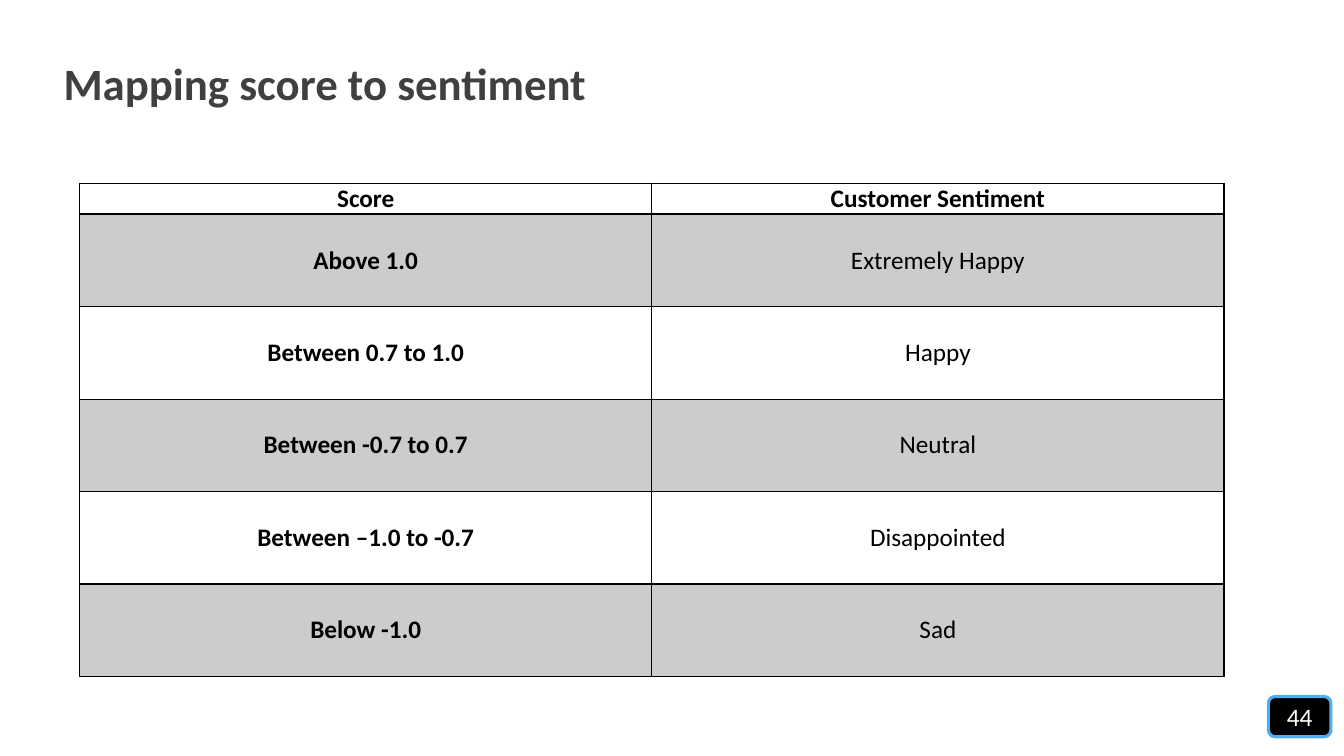
from dataclasses import dataclass

import pptx
import pptx.dml.color
import pptx.enum.shapes
import pptx.enum.text
import pptx.oxml
import pptx.oxml.ns
import pptx.util

Inches = pptx.util.Inches
Pt = pptx.util.Pt
PP_ALIGN = pptx.enum.text.PP_ALIGN
MSO_ANCHOR = pptx.enum.text.MSO_ANCHOR

FONT = "Calibri"
COLORS = {
    "title": "404040",
    "black": "000000",
    "white": "FFFFFF",
    "band": "CCCCCC",
    "badge_line": "4FADF3",
}
COLUMN_WIDTH = 5.675
HEADER_HEIGHT = 0.305
ROW_HEIGHT = 0.917


@dataclass
class SentimentRow:
    score: str
    sentiment: str
    header: bool = False


ROWS = [
    SentimentRow("Score", "Customer Sentiment", header=True),
    SentimentRow("Above 1.0", "Extremely Happy"),
    SentimentRow("Between 0.7 to 1.0", "Happy"),
    SentimentRow("Between -0.7 to 0.7", "Neutral"),
    SentimentRow("Between –1.0 to -0.7", "Disappointed"),
    SentimentRow("Below -1.0", "Sad"),
]


def rgb(name: str) -> pptx.dml.color.RGBColor:
    return pptx.dml.color.RGBColor.from_string(COLORS[name])


def add_run(p, text: str, size: float, color: str, bold: bool = False) -> None:
    r = p.add_run()
    r.text = text
    r.font.name = FONT
    r.font.size = Pt(size)
    r.font.bold = bold
    r.font.color.rgb = rgb(color)


def set_border(cell, side: str, width: float) -> None:
    ln = pptx.oxml.parse_xml(
        f'<a:ln{side} {pptx.oxml.ns.nsdecls("a")} w="{Pt(width)}">'
        f'<a:solidFill><a:srgbClr val="{COLORS["black"]}"/></a:solidFill>'
        f'</a:ln{side}>'
    )
    cell._tc.get_or_add_tcPr().append(ln)


def fill_cell(cell, text: str, row: int, bold: bool) -> None:
    # Borders come before the fill; the rule under the header is heavier
    widths = {"L": 1, "R": 1, "T": 2 if row == 1 else 1, "B": 2 if row == 0 else 1}
    for side, width in widths.items():
        set_border(cell, side, width)
    cell.fill.solid()
    cell.fill.fore_color.rgb = rgb("band" if row % 2 else "white")
    cell.margin_left = cell.margin_right = Inches(0.07)
    cell.margin_top = cell.margin_bottom = 0
    cell.vertical_anchor = MSO_ANCHOR.MIDDLE
    p = cell.text_frame.paragraphs[0]
    p.alignment = PP_ALIGN.CENTER
    add_run(p, text, 18, "black", bold)


def add_title(s, text: str) -> None:
    sp = s.shapes.title
    sp.left, sp.top = Inches(0.53), Inches(0.4)
    sp.width, sp.height = Inches(10.93), Inches(0.91)
    tf = sp.text_frame
    tf.auto_size = pptx.enum.text.MSO_AUTO_SIZE.NONE
    tf.vertical_anchor = MSO_ANCHOR.MIDDLE
    p = tf.paragraphs[0]
    p.alignment = PP_ALIGN.LEFT
    p.line_spacing = 0.9
    add_run(p, text, 32, "title", bold=True)


def add_sentiment_table(s, rows: list[SentimentRow]) -> None:
    height = HEADER_HEIGHT + ROW_HEIGHT * (len(rows) - 1)
    table = s.shapes.add_table(
        len(rows), 2, Inches(0.79), Inches(1.82),
        Inches(2 * COLUMN_WIDTH), Inches(height),
    ).table
    table.first_row = True
    table.horz_banding = False
    for column in table.columns:
        column.width = Inches(COLUMN_WIDTH)
    for i, row in enumerate(rows):
        table.rows[i].height = Inches(HEADER_HEIGHT if row.header else ROW_HEIGHT)
        fill_cell(table.cell(i, 0), row.score, i, bold=True)
        fill_cell(table.cell(i, 1), row.sentiment, i, bold=row.header)


def add_page_badge(s, number: str) -> None:
    sp = s.shapes.add_shape(
        pptx.enum.shapes.MSO_SHAPE.ROUNDED_RECTANGLE,
        Inches(12.58), Inches(6.91), Inches(0.62), Inches(0.4),
    )
    sp.shadow.inherit = False
    sp.fill.solid()
    sp.fill.fore_color.rgb = rgb("black")
    sp.line.color.rgb = rgb("badge_line")
    sp.line.width = Pt(2.25)
    tf = sp.text_frame
    tf.vertical_anchor = MSO_ANCHOR.MIDDLE
    p = tf.paragraphs[0]
    p.alignment = PP_ALIGN.CENTER
    add_run(p, number, 18, "white")


def main() -> None:
    prs = pptx.Presentation()
    prs.slide_width, prs.slide_height = Inches(13.33), Inches(7.5)
    s = prs.slides.add_slide(prs.slide_layouts[5])  # Title Only

    # Page number, heading and score table
    add_page_badge(s, "44")
    add_title(s, "Mapping score to sentiment")
    add_sentiment_table(s, ROWS)

    prs.save("out.pptx")


if __name__ == "__main__":
    main()
